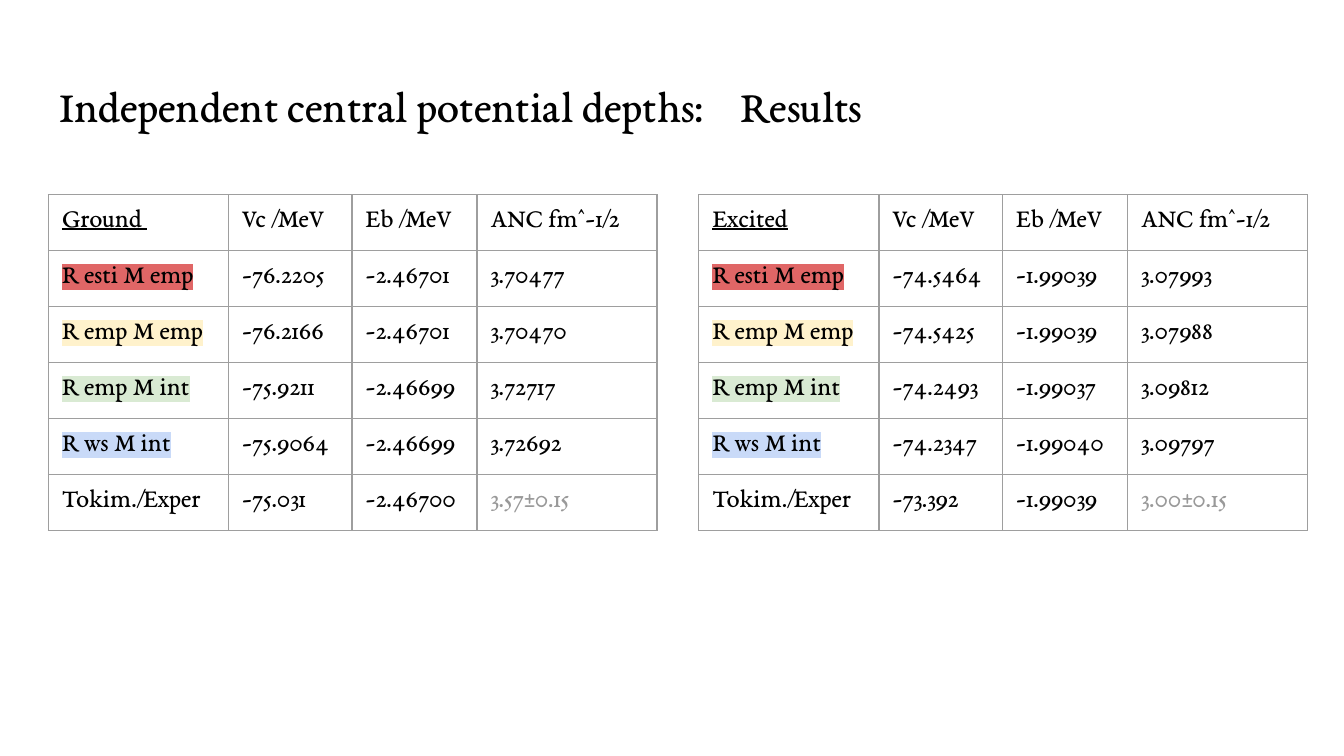
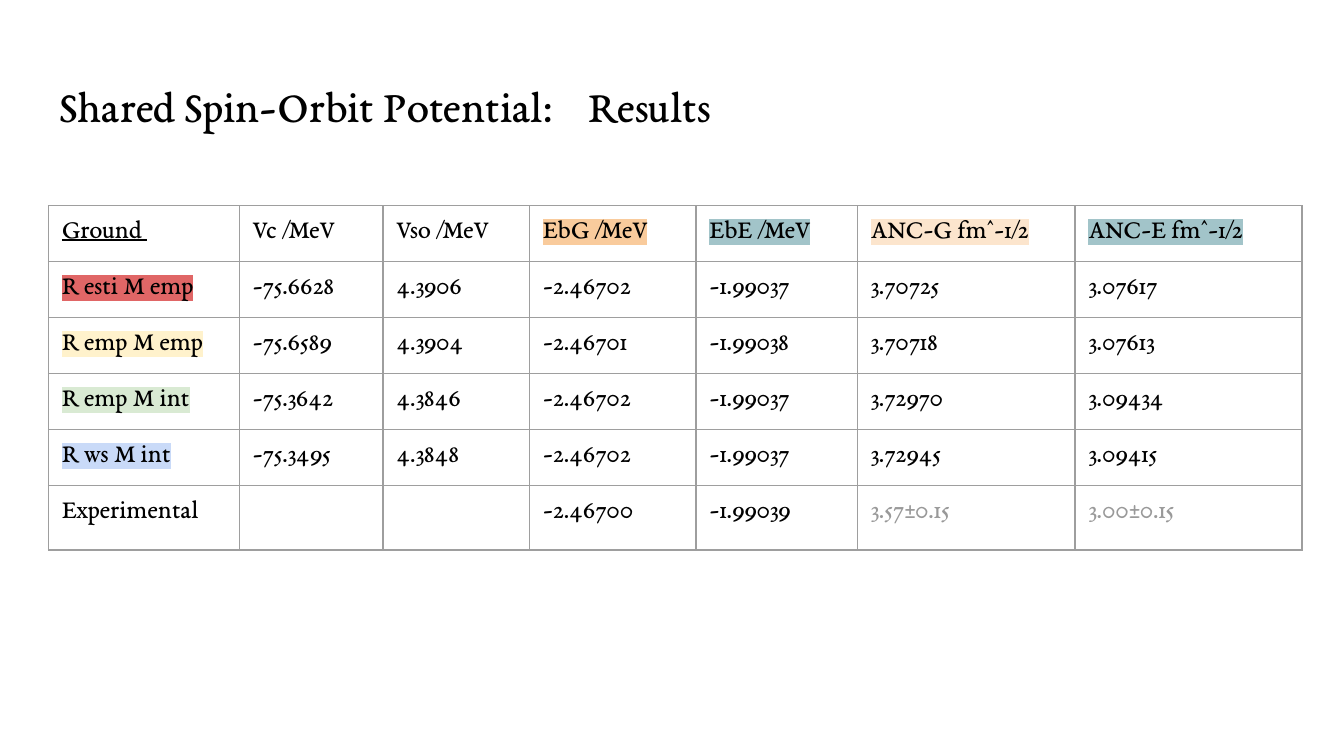
from dataclasses import dataclass

from lxml.etree import SubElement
from pptx import Presentation
from pptx.dml.color import RGBColor
from pptx.enum.text import MSO_ANCHOR, MSO_AUTO_SIZE, PP_ALIGN
from pptx.oxml import parse_xml
from pptx.oxml.ns import nsdecls, qn
from pptx.util import Inches, Pt


@dataclass(frozen=True)
class Theme:
    font: str = "EB Garamond"
    head: int = 24
    body: int = 14
    ink: str = "000000"
    faint: str = "999999"
    rule: str = "9E9E9E"
    width: float = 0.75
    inset: float = 0.1
    row: float = 5 / 12


THEME = Theme()
MARKS = {
    "R esti M emp": "E06666",
    "R emp M emp": "FFF2CC",
    "R emp M int": "D9EAD3",
    "R ws M int": "C9DAF8",
    "Tokim./Exper": "FFFFFF",
    "Experimental": "FFFFFF",
    "EbG /MeV": "F9CB9C",
    "EbE /MeV": "A2C4C9",
    "ANC-G fm^-1/2": "FCE5CD",
    "ANC-E fm^-1/2": "A2C4C9",
}
METHODS = list(MARKS)[:4]
STATES = {
    "Ground ": [
        ["-76.2205", "-2.46701", "3.70477"],
        ["-76.2166", "-2.46701", "3.70470"],
        ["-75.9211", "-2.46699", "3.72717"],
        ["-75.9064", "-2.46699", "3.72692"],
        ["-75.031", "-2.46700", "3.57±0.15"],
    ],
    "Excited": [
        ["-74.5464", "-1.99039", "3.07993"],
        ["-74.5425", "-1.99039", "3.07988"],
        ["-74.2493", "-1.99037", "3.09812"],
        ["-74.2347", "-1.99040", "3.09797"],
        ["-73.392", "-1.99039", "3.00±0.15"],
    ],
}
SHARED = [
    ["-75.6628", "4.3906", "-2.46702", "-1.99037", "3.70725", "3.07617"],
    ["-75.6589", "4.3904", "-2.46701", "-1.99038", "3.70718", "3.07613"],
    ["-75.3642", "4.3846", "-2.46702", "-1.99037", "3.72970", "3.09434"],
    ["-75.3495", "4.3848", "-2.46702", "-1.99037", "3.72945", "3.09415"],
    ["", "", "-2.46700", "-1.99039", "3.57±0.15", "3.00±0.15"],
]


def style(run, size, color=THEME.ink):
    run.font.name = THEME.font
    run.font.size = Pt(size)
    run.font.color.rgb = RGBColor.from_string(color)


def mark(run, color):
    fill = run.font._element.find(qn("a:solidFill"))
    fill.addnext(parse_xml(
        f'<a:highlight {nsdecls("a")}><a:srgbClr val="{color}"/></a:highlight>'))


def frame(cell):
    cell.fill.background()
    props = cell._tc.get_or_add_tcPr()
    for i, side in enumerate("LRTB"):
        props.insert(i, parse_xml(
            f'<a:ln{side} {nsdecls("a")} w="{Pt(THEME.width)}"><a:solidFill>'
            f'<a:srgbClr val="{THEME.rule}"/></a:solidFill></a:ln{side}>'))


def fill_cell(cell, text):
    cell.margin_left = cell.margin_right = Inches(THEME.inset)
    cell.margin_top = cell.margin_bottom = Inches(THEME.inset)
    cell.vertical_anchor = MSO_ANCHOR.TOP
    frame(cell)
    para = cell.text_frame.paragraphs[0]
    if not text:
        SubElement(para._p, qn("a:endParaRPr"), sz=str(THEME.body * 100))
        return
    para.text = text
    run = para.runs[0]
    style(run, THEME.body, THEME.faint if "±" in text else THEME.ink)
    if text in MARKS:
        mark(run, MARKS[text])
    run.font.underline = text in STATES


def add_grid(slide, left, top, widths, heights, rows):
    table = slide.shapes.add_table(
        len(rows), len(widths), Inches(left), Inches(top),
        Inches(sum(widths)), Inches(sum(heights))).table
    table.first_row = table.horz_banding = False
    for col, width in zip(table.columns, widths):
        col.width = Inches(width)
    for row, height, texts in zip(table.rows, heights, rows):
        row.height = Inches(height)
        for cell, text in zip(row.cells, texts):
            fill_cell(cell, text)


def add_title(slide, topic, stop):
    title = slide.shapes.title
    title.left, title.top = Inches(0.34), Inches(0.48)
    title.width, title.height = Inches(7.96), Inches(0.63)
    box = title.text_frame
    box.text = f"{topic}\tResults"
    box.word_wrap = True
    box.auto_size = MSO_AUTO_SIZE.NONE
    box.vertical_anchor = MSO_ANCHOR.TOP
    box.margin_left = box.margin_right = Inches(THEME.inset)
    box.margin_top = box.margin_bottom = Inches(THEME.inset)
    para = box.paragraphs[0]
    para.alignment = PP_ALIGN.LEFT
    tabs = SubElement(para._p.get_or_add_pPr(), qn("a:tabLst"))
    SubElement(tabs, qn("a:tab"), pos=str(Inches(stop)), algn="l")
    for run in para.runs:
        style(run, THEME.head)


def label(head, names, values):
    return [head] + [[name, *row] for name, row in zip(names, values)]


def add_slide(deck, topic, stop):
    slide = deck.slides.add_slide(deck.slide_layouts[5])
    add_title(slide, topic, stop)
    return slide


def depths(deck):
    slide = add_slide(deck, "Independent central potential depths:", 5.07)
    for i, (state, values) in enumerate(STATES.items()):
        head = [state, "Vc /MeV", "Eb /MeV", "ANC fm^-1/2"]
        rows = label(head, METHODS + ["Tokim./Exper"], values)
        add_grid(slide, 0.36 + i * 4.84, 1.45, [1.34, 0.92, 0.93, 1.34],
                 [THEME.row] * len(rows), rows)


def orbit(deck):
    slide = add_slide(deck, "Shared Spin-Orbit Potential:", 3.94)
    head = ["Ground ", "Vc /MeV", "Vso /MeV", *list(MARKS)[-4:]]
    rows = label(head, METHODS + ["Experimental"], SHARED)
    add_grid(slide, 0.36, 1.53, [1.42, 1.07, 1.09, 1.24, 1.2, 1.62, 1.69],
             [THEME.row] * 5 + [0.48], rows)


def main():
    deck = Presentation()
    deck.slide_width = Inches(10)
    deck.slide_height = deck.slide_width * 9 // 16
    depths(deck)
    orbit(deck)
    deck.save("out.pptx")


if __name__ == "__main__":
    main()
